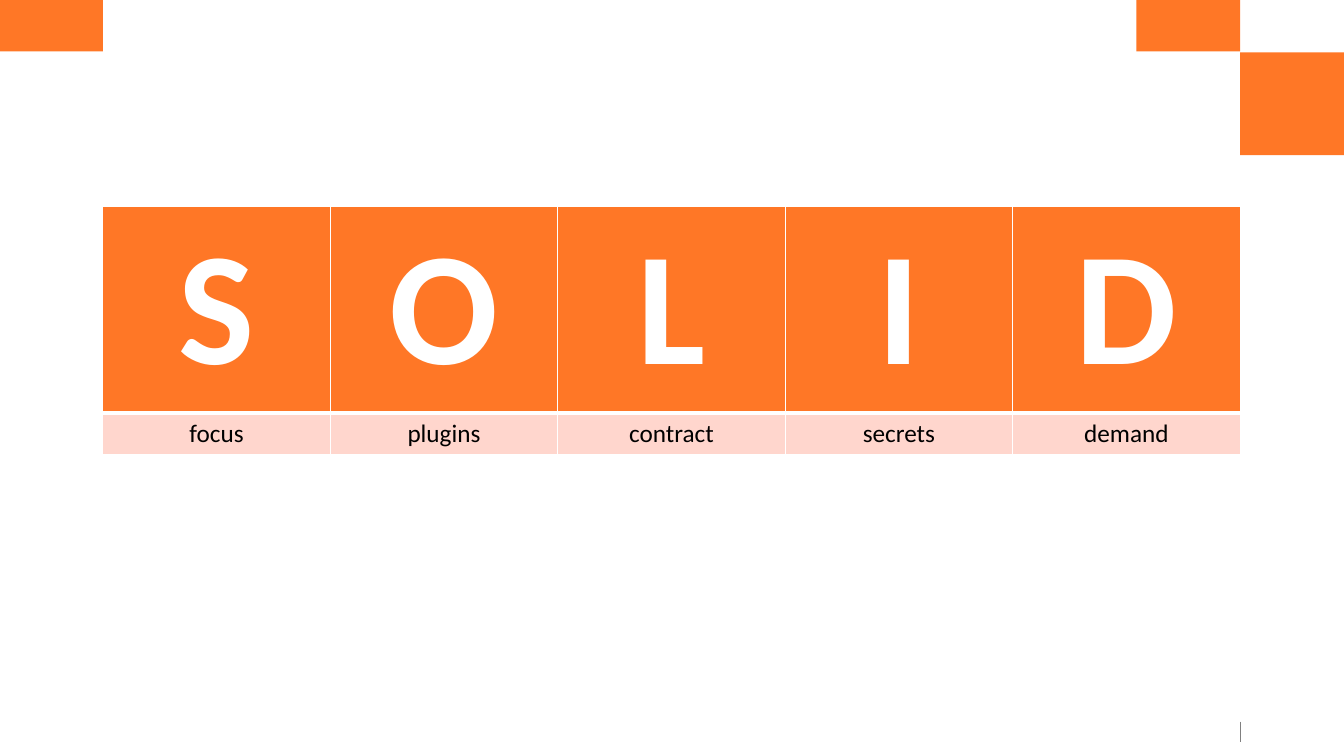
from dataclasses import dataclass

from lxml.etree import SubElement
from pptx import Presentation
from pptx.dml.color import RGBColor
from pptx.enum.shapes import MSO_CONNECTOR, MSO_SHAPE
from pptx.enum.text import PP_ALIGN
from pptx.oxml.ns import qn
from pptx.util import Inches, Pt


@dataclass(frozen=True)
class Theme:
    """Colours, font and type sizes of the slide."""
    orange: str = "FF7726"
    pale: str = "FFD6CD"
    white: str = "FFFFFF"
    black: str = "000000"
    gray: str = "808080"
    font: str = "Calibri"
    letter_size: int = 115
    word_size: int = 18


THEME = Theme()
PRINCIPLES = [("S", "focus"), ("O", "plugins"), ("L", "contract"),
              ("I", "secrets"), ("D", "demand")]


def write_text(frame, text, *, size, color, bold=False):
    """Write one centred paragraph into a text frame."""
    paragraph = frame.paragraphs[0]
    paragraph.alignment = PP_ALIGN.CENTER
    run = paragraph.add_run()
    run.text = text
    run.font.name = THEME.font
    run.font.size = Pt(size)
    run.font.bold = bold
    run.font.color.rgb = RGBColor.from_string(color)


def set_borders(cell, bottom):
    """Give a cell white borders with the given bottom width in points."""
    properties = cell._tc.get_or_add_tcPr()
    widths = {"a:lnL": 1, "a:lnR": 1, "a:lnT": 1, "a:lnB": bottom}
    for index, (tag, width) in enumerate(widths.items()):
        line = SubElement(properties, qn(tag), w=str(Pt(width)))
        fill = SubElement(line, qn("a:solidFill"))
        SubElement(fill, qn("a:srgbClr"), val=THEME.white)
        properties.insert(index, line)


def add_block(slide, left, top, width, height):
    """Add a plain orange rectangle."""
    shape = slide.shapes.add_shape(MSO_SHAPE.RECTANGLE, Inches(left), Inches(top),
                                   Inches(width), Inches(height))
    shape.shadow.inherit = False
    shape.fill.solid()
    shape.fill.fore_color.rgb = RGBColor.from_string(THEME.orange)
    shape.line.fill.background()


def add_decoration(slide, left, top, right):
    """Add the corner blocks and footer tick around the content margins."""
    width, height = 1.03, 0.53
    tick = slide.shapes.add_connector(MSO_CONNECTOR.STRAIGHT, Inches(right),
                                      Inches(7.16), Inches(right), Inches(7.36))
    tick.line.color.rgb = RGBColor.from_string(THEME.gray)
    tick.line.width = Pt(0.5)
    SubElement(tick._element.spPr, qn("a:effectLst"))
    add_block(slide, right, top + height + 0.01, width, 1.02)
    for block_left in (right - width, left - width):
        add_block(slide, block_left, top, width, height)


def add_principles(slide, left, top, width):
    """Add the table with one letter and its keyword per column."""
    row_heights = (2.05, 0.41)
    frame = slide.shapes.add_table(len(row_heights), len(PRINCIPLES), Inches(left),
                                   Inches(top), Inches(width), Inches(sum(row_heights)))
    table = frame.table
    table.horz_banding = False
    for row, height in zip(table.rows, row_heights):
        row.height = Inches(height)
    styles = (
        (THEME.orange, 3, dict(size=THEME.letter_size, color=THEME.white, bold=True)),
        (THEME.pale, 1, dict(size=THEME.word_size, color=THEME.black)),
    )
    for column, texts in enumerate(PRINCIPLES):
        table.columns[column].width = Inches(width / len(PRINCIPLES))
        for row, (text, (fill, bottom, text_format)) in enumerate(zip(texts, styles)):
            cell = table.cell(row, column)
            cell.fill.solid()
            cell.fill.fore_color.rgb = RGBColor.from_string(fill)
            set_borders(cell, bottom)
            write_text(cell.text_frame, text, **text_format)


def main():
    """Build and save the slide."""
    presentation = Presentation()
    presentation.slide_width = Inches(13.33)
    presentation.slide_height = Inches(7.5)
    slide = presentation.slides.add_slide(presentation.slide_layouts[6])
    add_decoration(slide, left=1.02, top=-0.02, right=12.3)
    add_principles(slide, left=1.02, top=2.05, width=11.28)
    presentation.save("out.pptx")


if __name__ == "__main__":
    main()
